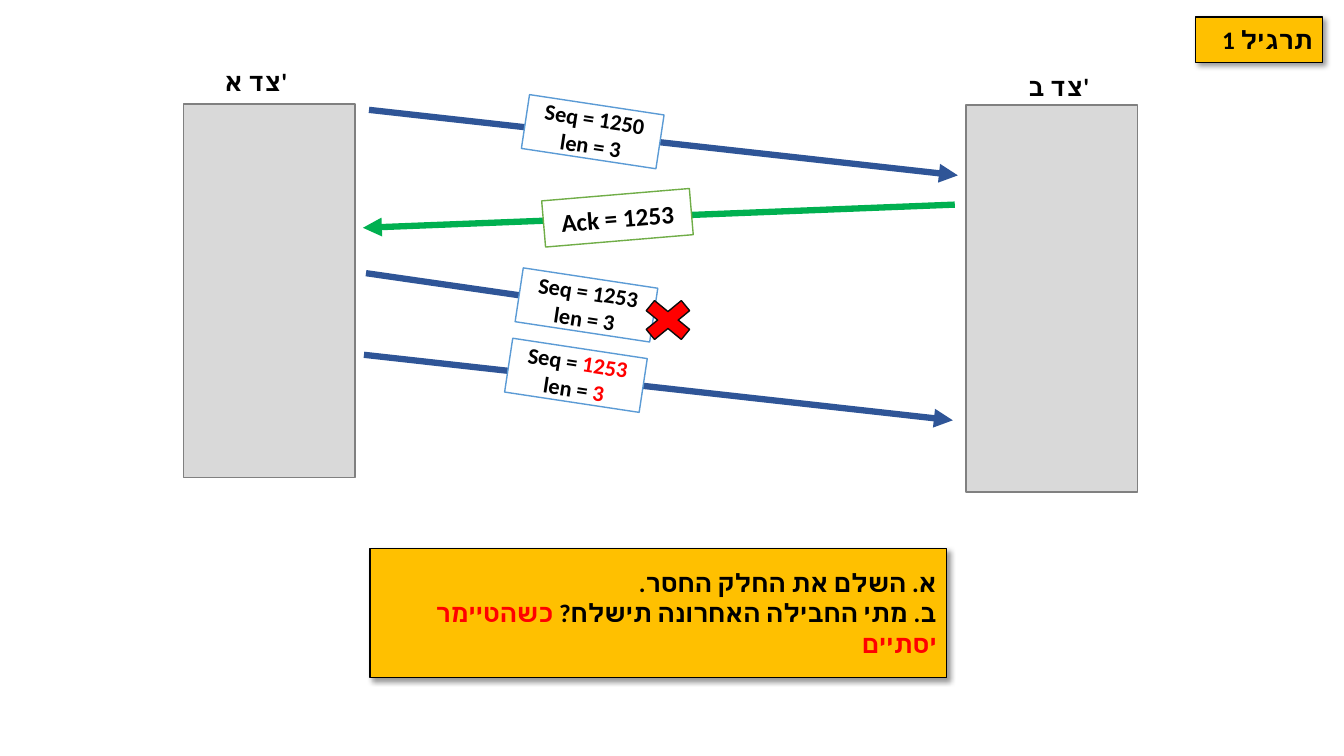
from lxml import etree
from pptx import Presentation
from pptx.dml.color import RGBColor
from pptx.enum.shapes import MSO_CONNECTOR, MSO_SHAPE
from pptx.enum.text import MSO_ANCHOR, PP_ALIGN
from pptx.oxml.ns import qn
from pptx.util import Inches, Pt

RECTANGLE, CROSS = MSO_SHAPE.RECTANGLE, MSO_SHAPE.MATH_MULTIPLY
STRAIGHT = MSO_CONNECTOR.STRAIGHT
CENTER, RIGHT = PP_ALIGN.CENTER, PP_ALIGN.RIGHT
MIDDLE = MSO_ANCHOR.MIDDLE

BLACK = RGBColor(0x00, 0x00, 0x00)
NEAR_BLACK = RGBColor(0x0D, 0x0D, 0x0D)
WHITE = RGBColor(0xFF, 0xFF, 0xFF)
RED = RGBColor(0xFF, 0x00, 0x00)
GOLD = RGBColor(0xFF, 0xC0, 0x00)
LIGHT_GRAY = RGBColor(0xD9, 0xD9, 0xD9)
GRAY = RGBColor(0x80, 0x80, 0x80)
DARK_BLUE = RGBColor(0x2F, 0x55, 0x97)
BLUE = RGBColor(0x5B, 0x9B, 0xD5)
DARK_GREEN = RGBColor(0x00, 0xB0, 0x50)
GREEN = RGBColor(0x70, 0xAD, 0x47)

FONT = "Calibri"
SLIDE_SIZE = (13.33, 7.5)
NAME_SIZE = (1.56, 0.37)
SIDE_WIDTH = 1.7

# Text is a list of paragraphs; a paragraph is a list of lines;
# a line is a list of (words, colour) pieces.
SIDES = [
    {"name": "צד א'", "name_at": (1.76, 0.62), "at": (1.82, 1.03), "height": 3.71},
    {"name": "צד ב'", "name_at": (9.72, 0.67), "at": (9.58, 1.04), "height": 3.84},
]

DATA = {"line": DARK_BLUE, "border": BLUE, "box": (1.35, 0.54),
        "rotation": 8.6, "size": 16, "rtl": False}
ACK = {"line": DARK_GREEN, "border": GREEN, "box": (1.47, 0.46),
       "rotation": 355.2, "size": 18, "rtl": True}

# share: how far along its arrow a label is centred; lift: its rise above the arrow
MESSAGES = [
    {"style": DATA, "start": (3.66, 1.09), "end": (9.5, 1.74), "share": 0.38, "lift": 0.03,
     "text": [[[("Seq = 1250", BLACK)], [("len = 3", BLACK)]]]},
    {"style": ACK, "start": (9.47, 2.03), "end": (3.6, 2.26), "share": 0.57, "lift": 0,
     "text": [[[("Ack = 1253", BLACK)]]]},
    {"style": DATA, "start": (3.63, 2.71), "end": (6.47, 3.12), "share": 0.77, "lift": 0,
     "text": [[[("Seq = 1253", BLACK)], [("len = 3", BLACK)]]]},
    {"style": DATA, "start": (3.61, 3.52), "end": (9.45, 4.17), "share": 0.36, "lift": 0.03,
     "text": [[[("Seq = ", BLACK), ("1253", RED)], [("len = ", BLACK), ("3", RED)]]]},
]

LOSS_MARK = (6.29, 2.9, 0.67, 0.55)

NOTES = [
    {"box": (3.67, 5.44, 5.72, 1.28),
     "text": [[[("א. השלם את החלק החסר.", BLACK)]],
              [[("ב. מתי החבילה האחרונה תישלח? ", BLACK), ("כשהטיימר יסתיים", RED)]]]},
    {"box": (11.86, 0.17, 1.26, 0.45), "text": [[[("תרגיל 1", BLACK)]]]},
]


def add_box(slide, box, fill, border=None, preset=RECTANGLE):
    shape = slide.shapes.add_shape(preset, *(Inches(length) for length in box))
    shape.shadow.inherit = False
    shape.fill.solid()
    shape.fill.fore_color.rgb = fill
    if border is None:
        shape.line.fill.background()
    else:
        shape.line.color.rgb = border
        shape.line.width = Pt(1)
    return shape


def write_text(shape, paragraphs, size=18, align=CENTER, rtl=False):
    frame = shape.text_frame
    frame.word_wrap = True
    frame.vertical_anchor = MIDDLE
    for index, lines in enumerate(paragraphs):
        paragraph = frame.add_paragraph() if index else frame.paragraphs[0]
        paragraph.alignment = align
        if rtl:
            paragraph._p.get_or_add_pPr().set("rtl", "1")
        for number, pieces in enumerate(lines):
            if number:
                paragraph.add_line_break()
            for words, color in pieces:
                run = paragraph.add_run()
                run.text = words
                run.font.name = FONT
                run.font.size = Pt(size)
                run.font.bold = True
                run.font.color.rgb = color
                etree.SubElement(run._r.get_or_add_rPr(), qn("a:cs"), typeface=FONT)


def add_drop_shadow(shape):
    effects = shape._element.spPr.find(qn("a:effectLst"))
    shadow = etree.SubElement(effects, qn("a:outerShdw"), blurRad=str(Pt(4)),
                              dist=str(Pt(3)), dir=str(45 * 60000),
                              algn="tl", rotWithShape="0")
    color = etree.SubElement(shadow, qn("a:srgbClr"), val=str(BLACK))
    etree.SubElement(color, qn("a:alpha"), val="40000")


def add_arrow(slide, start, end, color):
    arrow = slide.shapes.add_connector(
        STRAIGHT, *(Inches(length) for length in (*start, *end)))
    arrow.line.color.rgb = color
    arrow.line.width = Pt(4.5)
    etree.SubElement(arrow.line._get_or_add_ln(), qn("a:tailEnd"), type="triangle")
    etree.SubElement(arrow._element.spPr, qn("a:effectLst"))


def add_message_label(slide, message):
    style = message["style"]
    width, height = style["box"]
    (start_x, start_y), (end_x, end_y) = message["start"], message["end"]
    center_x = start_x + message["share"] * (end_x - start_x)
    center_y = start_y + message["share"] * (end_y - start_y) - message["lift"]
    label = add_box(slide, (center_x - width / 2, center_y - height / 2, width, height),
                    WHITE, style["border"])
    label.rotation = style["rotation"]
    write_text(label, message["text"], size=style["size"], rtl=style["rtl"])


def main():
    presentation = Presentation()
    presentation.slide_width, presentation.slide_height = map(Inches, SLIDE_SIZE)
    slide = presentation.slides.add_slide(presentation.slide_layouts[6])

    for side in SIDES:
        name = add_box(slide, (*side["name_at"], *NAME_SIZE), WHITE)
        write_text(name, [[[(side["name"], BLACK)]]])
        add_box(slide, (*side["at"], SIDE_WIDTH, side["height"]), LIGHT_GRAY, GRAY)

    for message in MESSAGES:
        add_arrow(slide, message["start"], message["end"], message["style"]["line"])
        add_message_label(slide, message)
    add_box(slide, LOSS_MARK, RED, NEAR_BLACK, preset=CROSS)

    for note in NOTES:
        shape = add_box(slide, note["box"], GOLD, BLACK)
        add_drop_shadow(shape)
        write_text(shape, note["text"], align=RIGHT, rtl=True)

    presentation.save("out.pptx")


if __name__ == "__main__":
    main()
